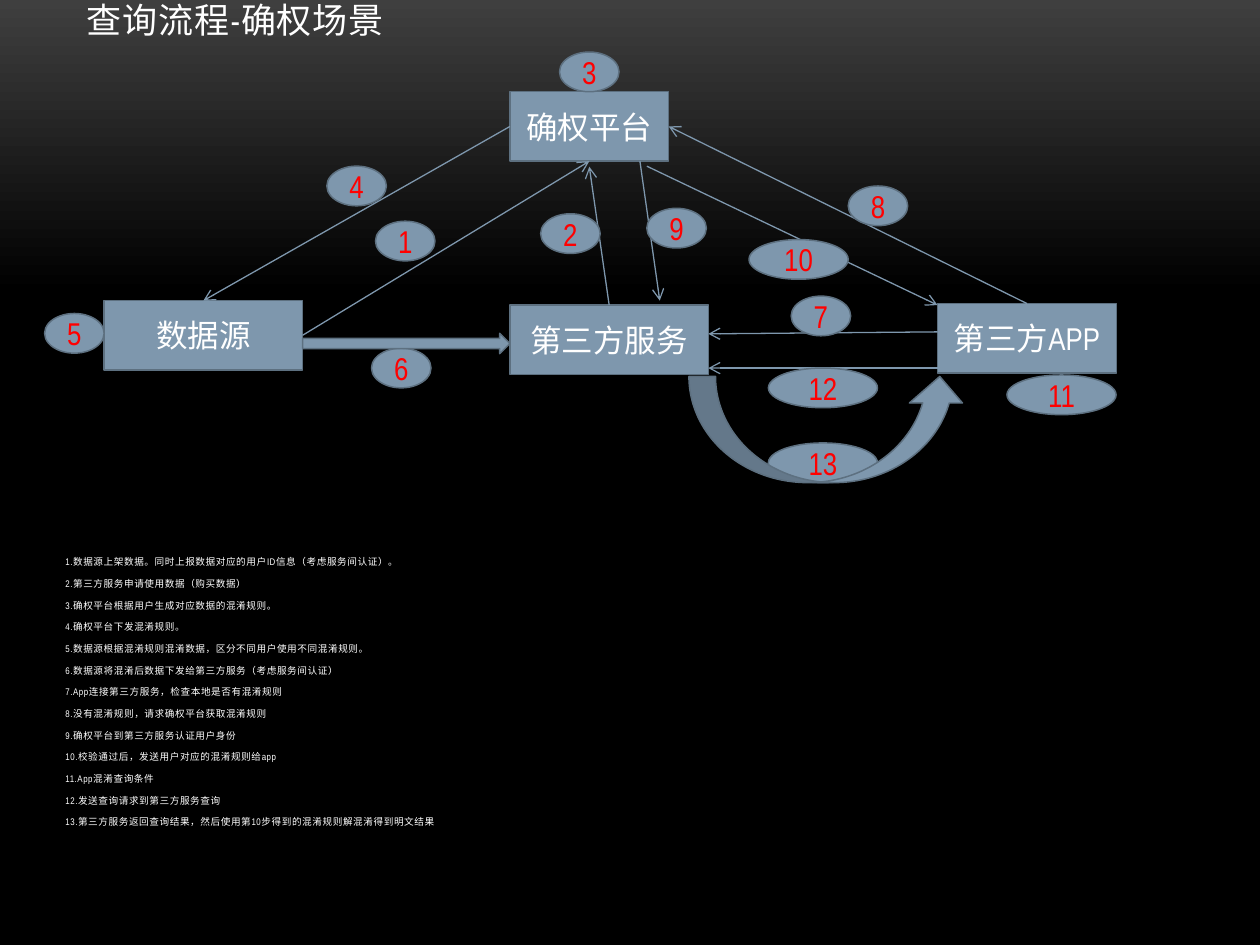
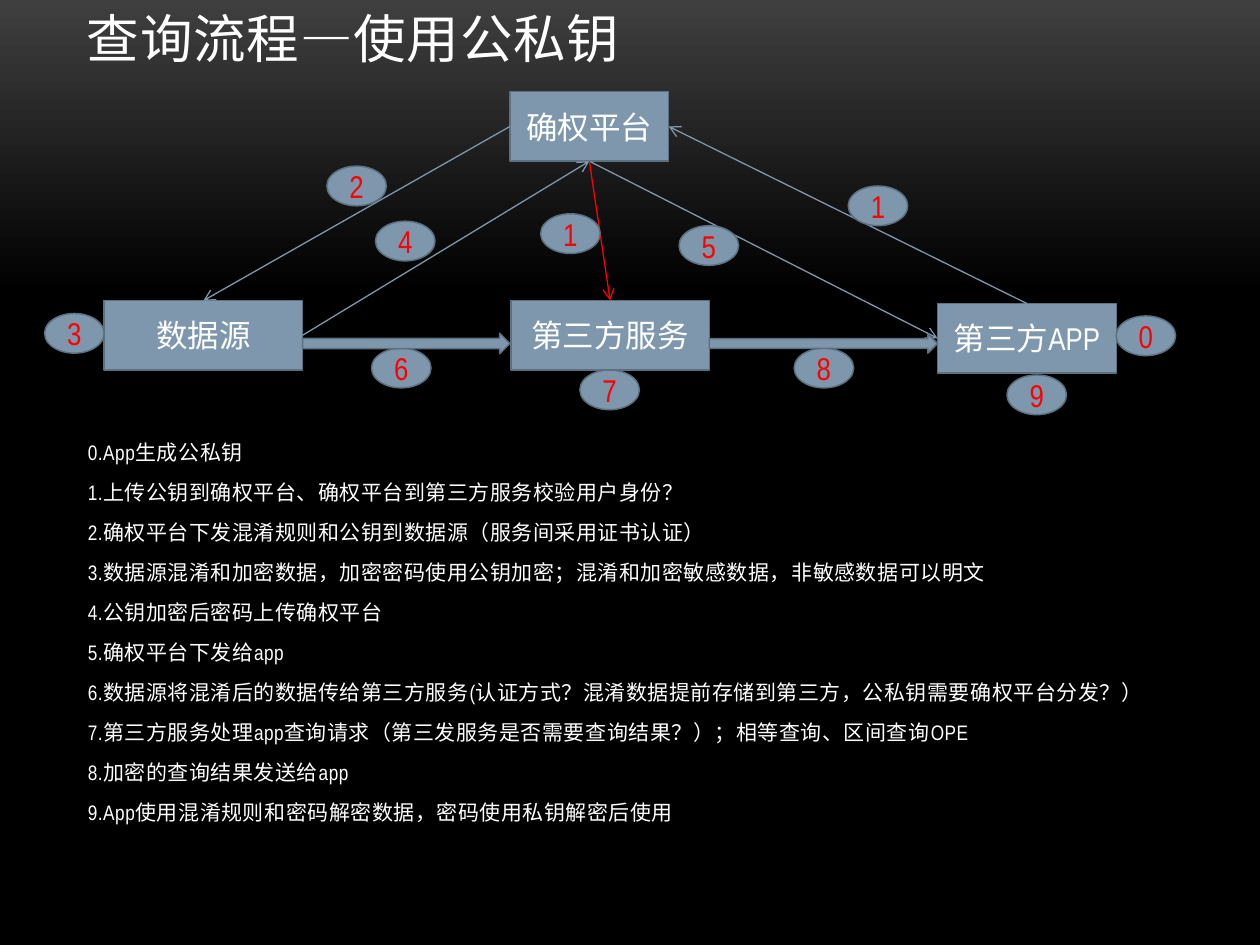
from lxml.etree import SubElement
from pptx import Presentation
from pptx.dml.color import RGBColor
from pptx.enum.shapes import MSO_CONNECTOR, MSO_SHAPE
from pptx.enum.text import MSO_ANCHOR, PP_ALIGN
from pptx.oxml.ns import qn
from pptx.util import Cm, Pt

STEEL = RGBColor(0x7E, 0x97, 0xAD)
SLATE = RGBColor(0x5D, 0x70, 0x80)
RED = RGBColor(0xFF, 0x00, 0x00)
WHITE = RGBColor(0xFF, 0xFF, 0xFF)
CHARCOAL = RGBColor(0x3F, 0x3F, 0x3F)
BLACK = RGBColor(0x00, 0x00, 0x00)
FONT = "Arial Narrow"

TOP, LEFT, BOTTOM, RIGHT = range(4)
BOX_HEIGHT = 1.4
BADGE_HEIGHT = 0.8
BADGE_WIDTH = 1.2
TEXT_WIDTH = 22.02

PLATFORM, SOURCE, SERVICE, APP = "确权平台", "数据源", "第三方服务", "第三方APP"

SHARED_BOXES = {
    PLATFORM: (10.28, 1.85, 3.2),
    SOURCE: (2.1, 6.06, 4),
    APP: (18.9, 6.12, 3.61),
}
SHARED_ARROWS = [
    ((PLATFORM, LEFT), (SOURCE, TOP), STEEL),
    ((SOURCE, RIGHT), (PLATFORM, BOTTOM), STEEL),
    ((APP, TOP), (PLATFORM, RIGHT), STEEL),
]
SOURCE_TO_SERVICE = (MSO_SHAPE.RIGHT_ARROW, 6.1, 6.72, 4.18, 0.41)

SLIDES = [
    {
        "title": ("查询流程-确权场景", 20, 0.61),
        "service": (10.28, 6.15, 4),
        "arrows": [
            ((18.9, 6.69), (14.28, 6.73), STEEL),
            ((SERVICE, TOP), (11.88, 3.36), STEEL),
            ((12.9, 3.25), (13.3, 6.06), STEEL),
            ((13.04, 3.35), (18.9, 6.15), STEEL),
            ((18.9, 7.42), (14.28, 7.42), STEEL),
        ],
        "badges": [
            ("1", 7.57, 4.46, BADGE_WIDTH),
            ("2", 10.9, 4.31, BADGE_WIDTH),
            ("3", 11.28, 1.05, BADGE_WIDTH),
            ("4", 6.59, 3.35, BADGE_WIDTH),
            ("5", 0.9, 6.32, BADGE_WIDTH),
            ("6", 7.49, 7.02, BADGE_WIDTH),
            ("7", 15.95, 5.97, BADGE_WIDTH),
            ("8", 17.1, 3.75, BADGE_WIDTH),
            ("9", 13.04, 4.2, BADGE_WIDTH),
            ("10", 15.1, 4.83, 2),
            ("11", 20.3, 7.56, 2.2),
            ("12", 15.49, 7.42, 2.2),
            ("13", 15.49, 8.93, 2.2),
        ],
        "block_arrows": [(MSO_SHAPE.CURVED_UP_ARROW, 13.89, 7.59, 5.59, 2.14)],
        "steps_frame": (1.07, 11.13, 6.05),
        "steps_style": (5.5, 0.8),
        "steps": [
            "1.数据源上架数据。同时上报数据对应的用户ID信息（考虑服务间认证）。",
            "2.第三方服务申请使用数据（购买数据）",
            "3.确权平台根据用户生成对应数据的混淆规则。",
            "4.确权平台下发混淆规则。",
            "5.数据源根据混淆规则混淆数据，区分不同用户使用不同混淆规则。",
            "6.数据源将混淆后数据下发给第三方服务（考虑服务间认证）",
            "7.App连接第三方服务，检查本地是否有混淆规则",
            "8.没有混淆规则，请求确权平台获取混淆规则",
            "9.确权平台到第三方服务认证用户身份",
            "10.校验通过后，发送用户对应的混淆规则给app",
            "11.App混淆查询条件",
            "12.发送查询请求到第三方服务查询",
            "13.第三方服务返回查询结果，然后使用第10步得到的混淆规则解混淆得到明文结果",
        ],
    },
    {
        "title": ("查询流程—使用公私钥", 30, 1.19),
        "service": (10.3, 6.06, 4),
        "arrows": [
            ((PLATFORM, BOTTOM), (APP, LEFT), STEEL),
            ((PLATFORM, BOTTOM), (SERVICE, TOP), RED),
        ],
        "badges": [
            ("0", 22.5, 6.37, BADGE_WIDTH),
            ("1", 17.1, 3.75, BADGE_WIDTH),
            ("1", 10.9, 4.31, BADGE_WIDTH),
            ("2", 6.59, 3.35, BADGE_WIDTH),
            ("3", 0.9, 6.32, BADGE_WIDTH),
            ("4", 7.57, 4.46, BADGE_WIDTH),
            ("5", 13.69, 4.55, BADGE_WIDTH),
            ("6", 7.49, 7.02, BADGE_WIDTH),
            ("7", 11.69, 7.46, BADGE_WIDTH),
            ("8", 16.01, 7.02, BADGE_WIDTH),
            ("9", 20.3, 7.56, BADGE_WIDTH),
        ],
        "block_arrows": [(MSO_SHAPE.RIGHT_ARROW, 14.3, 6.73, 4.6, 0.39)],
        "steps_frame": (1.52, 8.74, 8.2),
        "steps_style": (12, 1),
        "steps": [
            "0.App生成公私钥",
            "1.上传公钥到确权平台、确权平台到第三方服务校验用户身份？",
            "2.确权平台下发混淆规则和公钥到数据源（服务间采用证书认证）",
            "3.数据源混淆和加密数据，加密密码使用公钥加密；混淆和加密敏感数据，非敏感数据可以明文",
            "4.公钥加密后密码上传确权平台",
            "5.确权平台下发给app",
            "6.数据源将混淆后的数据传给第三方服务(认证方式？混淆数据提前存储到第三方，公私钥需要确权平台分发？）",
            "7.第三方服务处理app查询请求（第三发服务是否需要查询结果？）；相等查询、区间查询OPE",
            "8.加密的查询结果发送给app",
            "9.App使用混淆规则和密码解密数据，密码使用私钥解密后使用",
        ],
    },
]


def style_text(para, size, color, spacing=0):
    for span in para.runs:
        span.font.name = FONT
        span.font.size = Pt(size)
        span.font.color.rgb = color
        if spacing:
            span.font._element.set("spc", str(spacing))


def add_block(page, preset, left, top, width, height, text="", color=WHITE):
    block = page.shapes.add_shape(preset, Cm(left), Cm(top), Cm(width), Cm(height))
    block.shadow.inherit = False
    block.fill.solid()
    block.fill.fore_color.rgb = STEEL
    block.line.color.rgb = SLATE
    block.line.width = Pt(0.85)
    if text:
        frame = block.text_frame
        frame.text = text
        frame.word_wrap = False
        frame.vertical_anchor = MSO_ANCHOR.MIDDLE
        frame.margin_left = frame.margin_right = 0
        frame.paragraphs[0].alignment = PP_ALIGN.CENTER
        style_text(frame.paragraphs[0], 18, color)
    return block


def add_arrow(page, boxes, start, end, color):
    arrow = page.shapes.add_connector(MSO_CONNECTOR.STRAIGHT, 0, 0, 0, 0)
    if start[0] in boxes:
        arrow.begin_connect(boxes[start[0]], start[1])
    else:
        arrow.begin_x, arrow.begin_y = Cm(start[0]), Cm(start[1])
    if end[0] in boxes:
        arrow.end_connect(boxes[end[0]], end[1])
    else:
        arrow.end_x, arrow.end_y = Cm(end[0]), Cm(end[1])
    arrow.line.color.rgb = color
    arrow.line.width = Pt(0.75)
    SubElement(arrow.line._get_or_add_ln(), qn("a:tailEnd"), type="arrow")
    SubElement(arrow._element.spPr, qn("a:effectLst"))


def add_text(page, left, top, height, text):
    box = page.shapes.add_textbox(Cm(left), Cm(top), Cm(TEXT_WIDTH), Cm(height))
    box.text_frame.word_wrap = True
    box.text_frame.text = text
    return box.text_frame


def add_title(page, text, size, height):
    frame = add_text(page, 1.5, 0.33, height, text)
    frame.vertical_anchor = MSO_ANCHOR.BOTTOM
    style_text(frame.paragraphs[0], size, WHITE, 50)


def add_steps(page, steps, position, size, line_spacing):
    frame = add_text(page, *position, "\n".join(steps))
    for para in frame.paragraphs:
        para.line_spacing = line_spacing
        para.space_before = Pt(size * 0.2)
        para.space_after = Pt(6)
        style_text(para, size, WHITE, 30)


def set_background(master):
    fill = master.background.fill
    fill.gradient()
    fill.gradient_angle = 270
    for stop, color, position in zip(fill.gradient_stops, (CHARCOAL, BLACK), (0, 0.31)):
        stop.color.rgb = color
        stop.position = position


def build_slide(deck, content):
    page = deck.slides.add_slide(deck.slide_layouts[6])
    add_title(page, *content["title"])
    places = {**SHARED_BOXES, SERVICE: content["service"]}
    boxes = {
        name: add_block(page, MSO_SHAPE.RECTANGLE, *place, BOX_HEIGHT, name)
        for name, place in places.items()
    }
    for start, end, color in SHARED_ARROWS + content["arrows"]:
        add_arrow(page, boxes, start, end, color)
    for number, left, top, width in content["badges"]:
        add_block(page, MSO_SHAPE.OVAL, left, top, width, BADGE_HEIGHT, number, RED)
    for block_arrow in [SOURCE_TO_SERVICE] + content["block_arrows"]:
        add_block(page, *block_arrow)
    add_steps(page, content["steps"], content["steps_frame"], *content["steps_style"])


def main():
    deck = Presentation()
    deck.slide_width, deck.slide_height = Cm(25.4), Cm(19.05)
    set_background(deck.slide_master)
    for content in SLIDES:
        build_slide(deck, content)
    deck.save("out.pptx")


if __name__ == "__main__":
    main()
